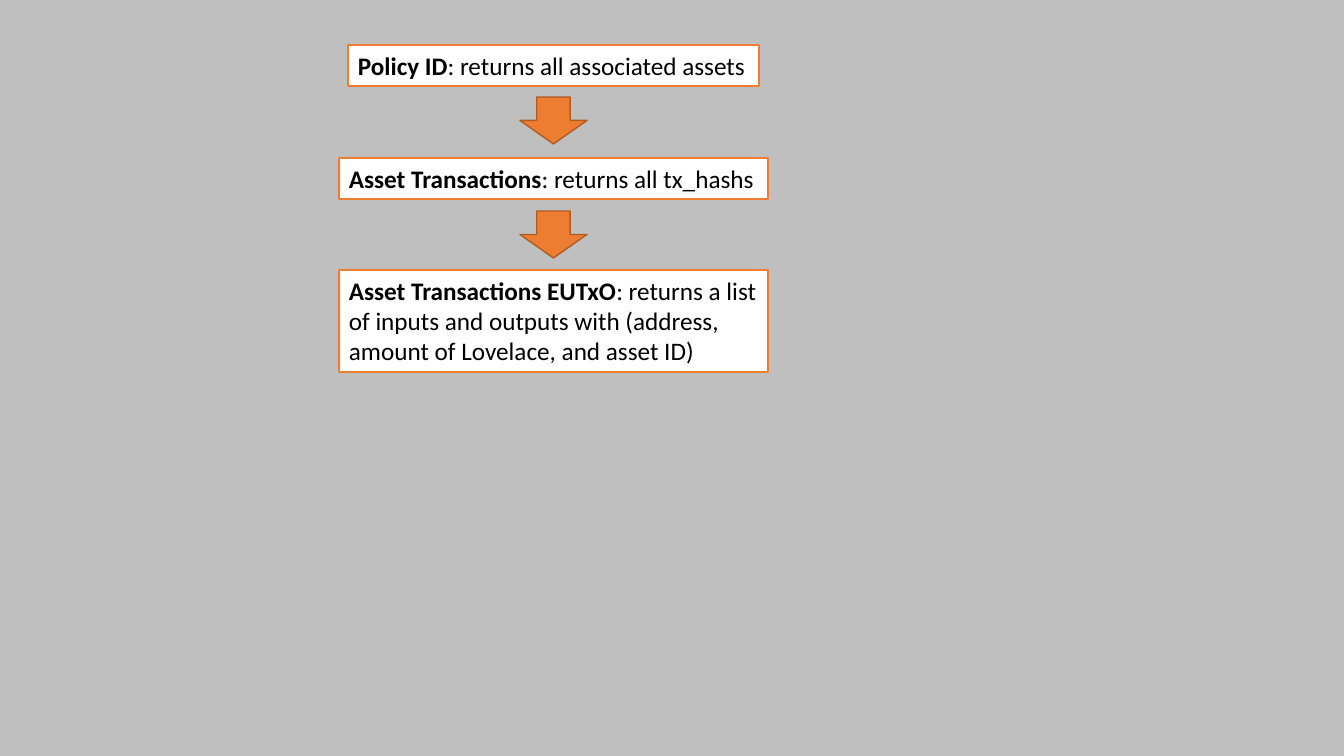
import dataclasses

import pptx
import pptx.dml.color
import pptx.enum.shapes
import pptx.enum.text
import pptx.slide
import pptx.util

EMU_PER_PIXEL = 914400 / 100.8


@dataclasses.dataclass(frozen=True)
class Theme:
    background: str = "BFBFBF"
    box_fill: str = "FFFFFF"
    accent: str = "ED7D31"
    arrow_line: str = "AF5C24"
    text: str = "000000"
    font: str = "Calibri"
    text_size: int = 18
    line_width: int = 1


@dataclasses.dataclass(frozen=True)
class Step:
    name: str
    result: str
    left: int
    top: int
    width: int
    height: int


@dataclasses.dataclass(frozen=True)
class Arrow:
    top: int
    left: int = 520
    width: int = 67
    height: int = 47


THEME = Theme()

STEPS = [
    Step("Policy ID", "returns all associated assets", 348, 45, 411, 41),
    Step("Asset Transactions", "returns all tx_hashs", 339, 158, 429, 41),
    Step(
        "Asset Transactions EUTxO",
        "returns a list of inputs and outputs with "
        "(address, amount of Lovelace, and asset ID)",
        339, 270, 429, 102,
    ),
]
ARROWS = [Arrow(top=97), Arrow(top=211)]


def pixels(count: int) -> pptx.util.Emu:
    return pptx.util.Emu(round(count * EMU_PER_PIXEL))


def color(value: str) -> pptx.dml.color.RGBColor:
    return pptx.dml.color.RGBColor.from_string(value)


def bounds(item: Step | Arrow) -> list[pptx.util.Emu]:
    return [pixels(length) for length in (item.left, item.top, item.width, item.height)]


def paint(shape, fill: str, line: str) -> None:
    shape.fill.solid()
    shape.fill.fore_color.rgb = color(fill)
    shape.line.color.rgb = color(line)
    shape.line.width = pptx.util.Pt(THEME.line_width)


def draw_step(slide: pptx.slide.Slide, step: Step) -> None:
    box = slide.shapes.add_textbox(*bounds(step))
    paint(box, THEME.box_fill, THEME.accent)
    frame = box.text_frame
    frame.word_wrap = True
    frame.auto_size = pptx.enum.text.MSO_AUTO_SIZE.SHAPE_TO_FIT_TEXT

    paragraph = frame.paragraphs[0]
    paragraph.font.name = THEME.font
    paragraph.font.size = pptx.util.Pt(THEME.text_size)
    paragraph.font.color.rgb = color(THEME.text)
    name_run = paragraph.add_run()
    name_run.text = step.name
    name_run.font.bold = True
    paragraph.add_run().text = f": {step.result}"


def draw_arrow(slide: pptx.slide.Slide, arrow: Arrow) -> None:
    shape = slide.shapes.add_shape(
        pptx.enum.shapes.MSO_SHAPE.DOWN_ARROW, *bounds(arrow)
    )
    shape.shadow.inherit = False
    paint(shape, THEME.accent, THEME.arrow_line)


# Slide and background
presentation = pptx.Presentation()
presentation.slide_width = pixels(1344)
presentation.slide_height = pixels(756)
slide = presentation.slides.add_slide(presentation.slide_layouts[6])
slide.background.fill.solid()
slide.background.fill.fore_color.rgb = color(THEME.background)

# Query steps
for step in STEPS:
    draw_step(slide, step)

# Arrows between the steps
for arrow in ARROWS:
    draw_arrow(slide, arrow)

presentation.save("out.pptx")
